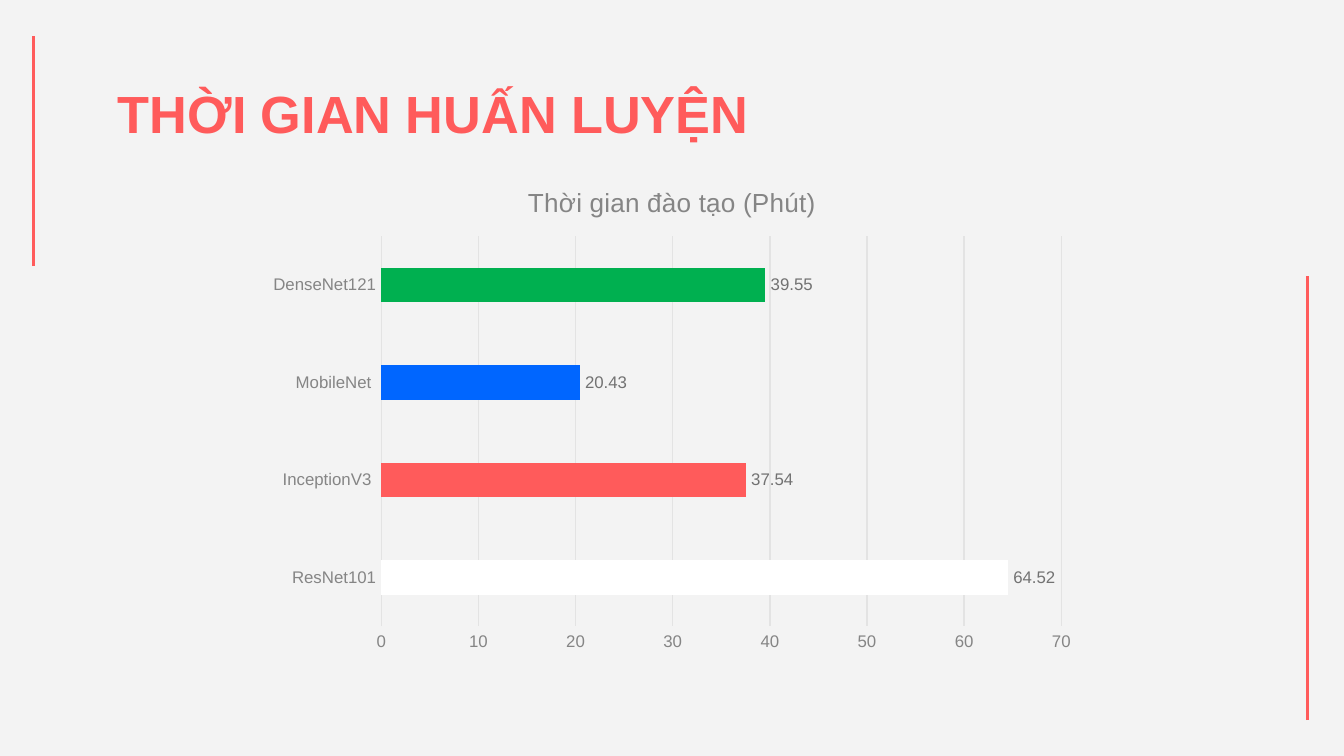
from dataclasses import dataclass

import pptx
import pptx.chart.data
import pptx.dml.color
import pptx.enum.chart
import pptx.enum.shapes
import pptx.enum.text
import pptx.oxml.ns
import pptx.util
from lxml import etree
from pptx.util import Cm

RGBColor = pptx.dml.color.RGBColor

BACKGROUND = RGBColor(0xF3, 0xF3, 0xF3)
CORAL = RGBColor(0xFF, 0x5B, 0x5B)
BLUE = RGBColor(0x00, 0x66, 0xFF)
GREEN = RGBColor(0x00, 0xB0, 0x50)
WHITE = RGBColor(0xFF, 0xFF, 0xFF)
GRID_GRAY = RGBColor(0xE3, 0xE3, 0xE3)
AXIS_GRAY = RGBColor(0x85, 0x85, 0x85)
LABEL_GRAY = RGBColor(0x72, 0x72, 0x72)
DARK_GRAY = RGBColor(0x43, 0x43, 0x43)
FONT = "Arial"


@dataclass(frozen=True)
class SideRule:
    x: float
    start_y: float
    end_y: float


@dataclass(frozen=True)
class Model:
    name: str
    minutes: float
    color: RGBColor


SIDE_RULES = [SideRule(0.64, 5.03, 0.69), SideRule(24.71, 13.61, 5.21)]
MODELS = [
    Model("ResNet101", 64.52, WHITE),
    Model("InceptionV3 ", 37.54, CORAL),
    Model("MobileNet ", 20.43, BLUE),
    Model("DenseNet121", 39.55, GREEN),
]
CHART_TITLE = "Thời gian đào tạo (Phút)"


def style_font(font, size: float, color: RGBColor, bold: bool = False) -> None:
    font.name = FONT
    font.size = pptx.util.Pt(size)
    font.bold = bold
    font.color.rgb = color


def style_line(line, color: RGBColor, width: float) -> None:
    line.color.rgb = color
    line.width = pptx.util.Pt(width)


def add_side_rule(slide, rule: SideRule) -> None:
    connector = slide.shapes.add_connector(
        pptx.enum.shapes.MSO_CONNECTOR.STRAIGHT,
        Cm(rule.x), Cm(rule.start_y), Cm(rule.x), Cm(rule.end_y),
    )
    style_line(connector.line, CORAL, 1.5)
    etree.SubElement(connector._element.spPr, pptx.oxml.ns.qn("a:effectLst"))


def add_title(slide, text: str) -> None:
    shape = slide.shapes.add_textbox(Cm(1.98), Cm(1.19), Cm(21.44), Cm(1.3))
    frame = shape.text_frame
    frame.word_wrap = True
    frame.vertical_anchor = pptx.enum.text.MSO_ANCHOR.TOP
    frame.margin_left = frame.margin_right = frame.margin_bottom = Cm(0.25)
    frame.margin_top = Cm(0.35)
    run = frame.paragraphs[0].add_run()
    run.text = text
    style_font(run.font, 28, CORAL, bold=True)


def style_axes(chart) -> None:
    for axis in (chart.category_axis, chart.value_axis):
        axis.major_tick_mark = pptx.enum.chart.XL_TICK_MARK.NONE
        axis.minor_tick_mark = pptx.enum.chart.XL_TICK_MARK.NONE
        style_font(axis.tick_labels.font, 9, AXIS_GRAY)
    chart.category_axis.has_major_gridlines = False
    style_line(chart.category_axis.format.line, GRID_GRAY, 0.75)
    chart.value_axis.has_major_gridlines = True
    style_line(chart.value_axis.major_gridlines.format.line, GRID_GRAY, 0.75)
    chart.value_axis.format.line.fill.background()


def add_training_chart(slide, models: list[Model]) -> None:
    data = pptx.chart.data.CategoryChartData()
    data.categories = [model.name for model in models]
    data.add_series(CHART_TITLE, [model.minutes for model in models])
    chart = slide.shapes.add_chart(
        pptx.enum.chart.XL_CHART_TYPE.BAR_CLUSTERED,
        Cm(4.85), Cm(3.1), Cm(15.7), Cm(9.4), data,
    ).chart
    style_font(chart.font, 10, DARK_GRAY)
    chart.has_legend = False
    chart.has_title = True
    run = chart.chart_title.text_frame.paragraphs[0].add_run()
    run.text = CHART_TITLE
    style_font(run.font, 14, AXIS_GRAY)
    chart.chart_title.include_in_layout = False
    style_axes(chart)

    plot = chart.plots[0]
    plot.gap_width = 182
    plot.vary_by_categories = False
    series = plot.series[0]
    series.invert_if_negative = False
    series.format.fill.solid()
    series.format.fill.fore_color.rgb = WHITE
    for index, model in enumerate(models):
        fill = series.points[index].format.fill
        fill.solid()
        fill.fore_color.rgb = model.color
    labels = series.data_labels
    labels.show_value = True
    labels.position = pptx.enum.chart.XL_LABEL_POSITION.OUTSIDE_END
    style_font(labels.font, 9, LABEL_GRAY)


def main() -> None:
    presentation = pptx.Presentation()
    presentation.slide_width = Cm(25.4)
    presentation.slide_height = Cm(14.29)
    slide = presentation.slides.add_slide(presentation.slide_layouts[6])
    slide.background.fill.solid()
    slide.background.fill.fore_color.rgb = BACKGROUND
    for rule in SIDE_RULES:
        add_side_rule(slide, rule)
    add_title(slide, "THỜI GIAN HUẤN LUYỆN")
    add_training_chart(slide, MODELS)
    presentation.save("out.pptx")


if __name__ == "__main__":
    main()
